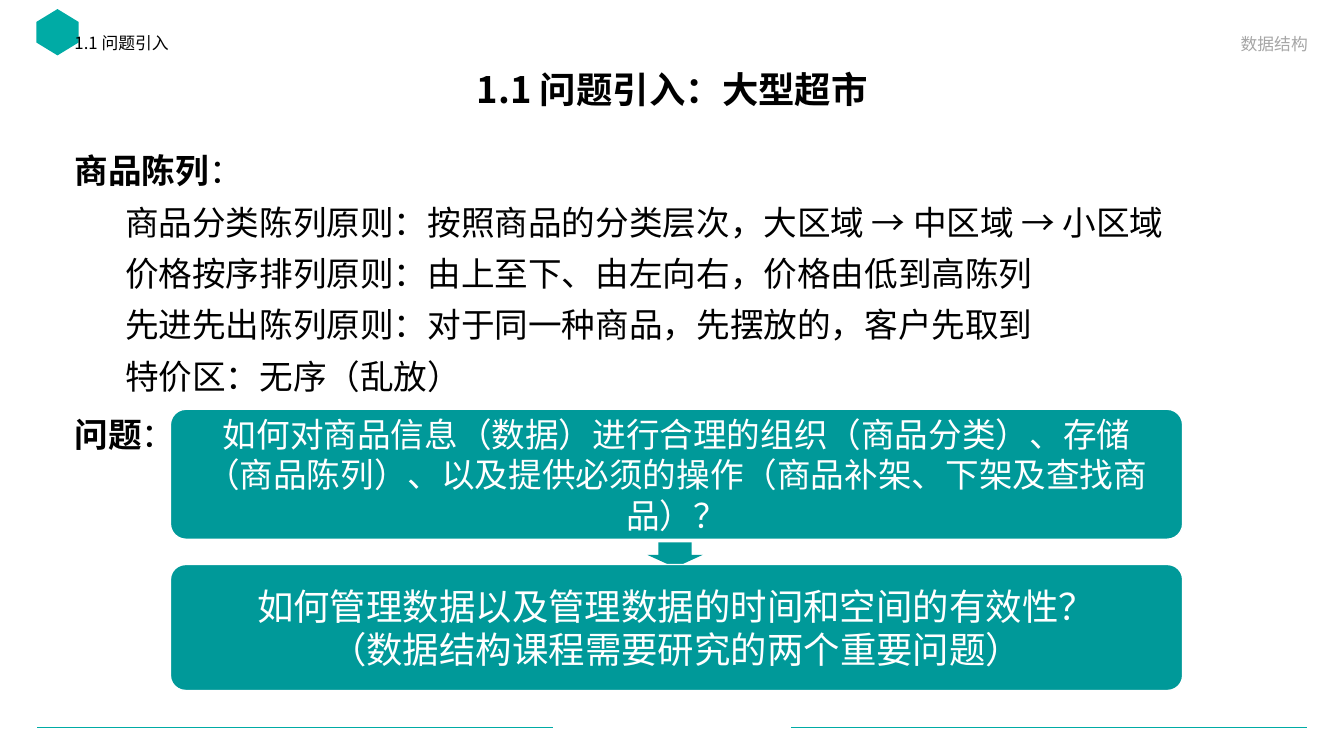
from lxml.etree import SubElement
from pptx import Presentation
from pptx.dml.color import RGBColor as Rgb
from pptx.enum.shapes import MSO_CONNECTOR as Link, MSO_SHAPE as Shape
from pptx.enum.text import MSO_ANCHOR as Anchor, MSO_AUTO_SIZE as Fit, PP_ALIGN as Align
from pptx.oxml.ns import qn
from pptx.util import Inches, Pt

FONT = "Noto Sans CJK SC"
HUES = {"teal": "009999", "mark": "00ABA5", "ink": "000000",
        "grey": "A6A6A6", "white": "FFFFFF"}


def hue(name):
    return Rgb.from_string(HUES[name])


def style(par, size, tone, bold=False, align=Align.LEFT, lead=1.0, gap=0):
    par.alignment, par.line_spacing, par.space_before = align, lead, Pt(gap)
    for run in par.runs:
        font = run.font
        font.size, font.bold, font.name = Pt(size), bold, FONT
        font.color.rgb = hue(tone)
        SubElement(run._r.get_or_add_rPr(), qn("a:ea"), typeface=FONT)


deck = Presentation()
deck.slide_width, deck.slide_height = Inches(13.33), Inches(7.5)
slide = deck.slides.add_slide(deck.slide_layouts[1])
shapes = slide.shapes

# Footer rules and corner mark
for left in (0.37, 7.85):
    rule = shapes.add_connector(Link.STRAIGHT, Inches(left), Inches(7.22),
                                Inches(left + 5.11), Inches(7.22))
    rule.line.color.rgb, rule.line.width = hue("mark"), Pt(0.5)
    SubElement(rule._element.spPr, qn("a:effectLst"))

mark = shapes.add_shape(Shape.HEXAGON, Inches(0.34), Inches(0.11), Inches(0.46), Inches(0.42))
mark.adjustments[0] = 0.305
mark.rotation = 90
mark.shadow.inherit = False
mark.fill.solid()
mark.fill.fore_color.rgb = hue("mark")
mark.line.fill.background()

# Running heads
heads = [("1.1 问题引入", 0.64, 0.3, 5.32, "ink", Align.LEFT, Anchor.TOP, 0.9),
         ("数据结构", 7.43, 0.22, 5.64, "grey", Align.RIGHT, Anchor.BOTTOM, 1.0)]
for text, left, top, wide, tone, align, anchor, lead in heads:
    head = shapes.add_textbox(Inches(left), Inches(top), Inches(wide), Inches(0.36)).text_frame
    head.word_wrap, head.vertical_anchor = True, anchor
    head.text = text
    style(head.paragraphs[0], 12, tone, align=align, lead=lead)

# Title
title = shapes.title
title.left, title.top, title.width, title.height = map(Inches, (0.92, 0.62, 11.5, 0.57))
title.text_frame.text = "1.1 问题引入：大型超市"
title.text_frame.auto_size = Fit.NONE
title.text_frame.vertical_anchor = Anchor.MIDDLE
style(title.text_frame.paragraphs[0], 26, "ink", True, Align.CENTER, 0.9)

# Display rules: (level, bold lead-in, rest)
rows = [(0, "商品陈列", "："),
        (1, "", "商品分类陈列原则：按照商品的分类层次，大区域 → 中区域 → 小区域"),
        (1, "", "价格按序排列原则：由上至下、由左向右，价格由低到高陈列"),
        (1, "", "先进先出陈列原则：对于同一种商品，先摆放的，客户先取到"),
        (1, "", "特价区：无序（乱放）"),
        (0, "问题", "：")]
body = slide.placeholders[1]
body.left, body.top, body.width, body.height = map(Inches, (0.64, 1.4, 12.09, 5.53))
frame = body.text_frame
frame.auto_size = Fit.NONE
for num, (level, lead, rest) in enumerate(rows):
    par = frame.add_paragraph() if num else frame.paragraphs[0]
    par.level = level
    props = par._p.get_or_add_pPr()
    props.set("marL", str(Inches(0.5 * level)))
    props.set("indent", "0")
    SubElement(props, qn("a:buNone"))
    for text in filter(None, (lead, rest)):
        par.add_run().text = text
    style(par, 24, "ink", lead=1.1, gap=(5 if level else 10) if num else 0)
    if lead:
        par.runs[0].font.bold = True

# Question flow
flow = [(Shape.ROUNDED_RECTANGLE, 1.69, 4.06, 10.04, 1.29, (0.12,), 24,
         "如何对商品信息（数据）进行合理的组织（商品分类）、存储（商品陈列）、"
         "以及提供必须的操作（商品补架、下架及查找商品）？"),
        (Shape.DOWN_ARROW, 6.42, 5.38, 0.55, 0.25, (0.6, 0.5), 0, ""),
        (Shape.ROUNDED_RECTANGLE, 1.69, 5.6, 10.04, 1.25, (0.12,), 26,
         "如何管理数据以及管理数据的时间和空间的有效性？\n（数据结构课程需要研究的两个重要问题）")]
for kind, left, top, wide, high, bends, size, text in flow:
    step = shapes.add_shape(kind, *map(Inches, (left, top, wide, high)))
    for num, bend in enumerate(bends):
        step.adjustments[num] = bend
    step.shadow.inherit = False
    step.fill.solid()
    step.fill.fore_color.rgb = hue("teal")
    if not text:
        step.line.fill.background()
        continue
    step.line.color.rgb, step.line.width = hue("white"), Pt(1)
    frame = step.text_frame
    frame.word_wrap, frame.vertical_anchor = True, Anchor.MIDDLE
    frame.margin_left = frame.margin_right = Inches(0.17)
    frame.margin_top = frame.margin_bottom = Inches(0.17)
    frame.text = text
    for par in frame.paragraphs:
        style(par, size, "white", align=Align.CENTER)

deck.save("out.pptx")
